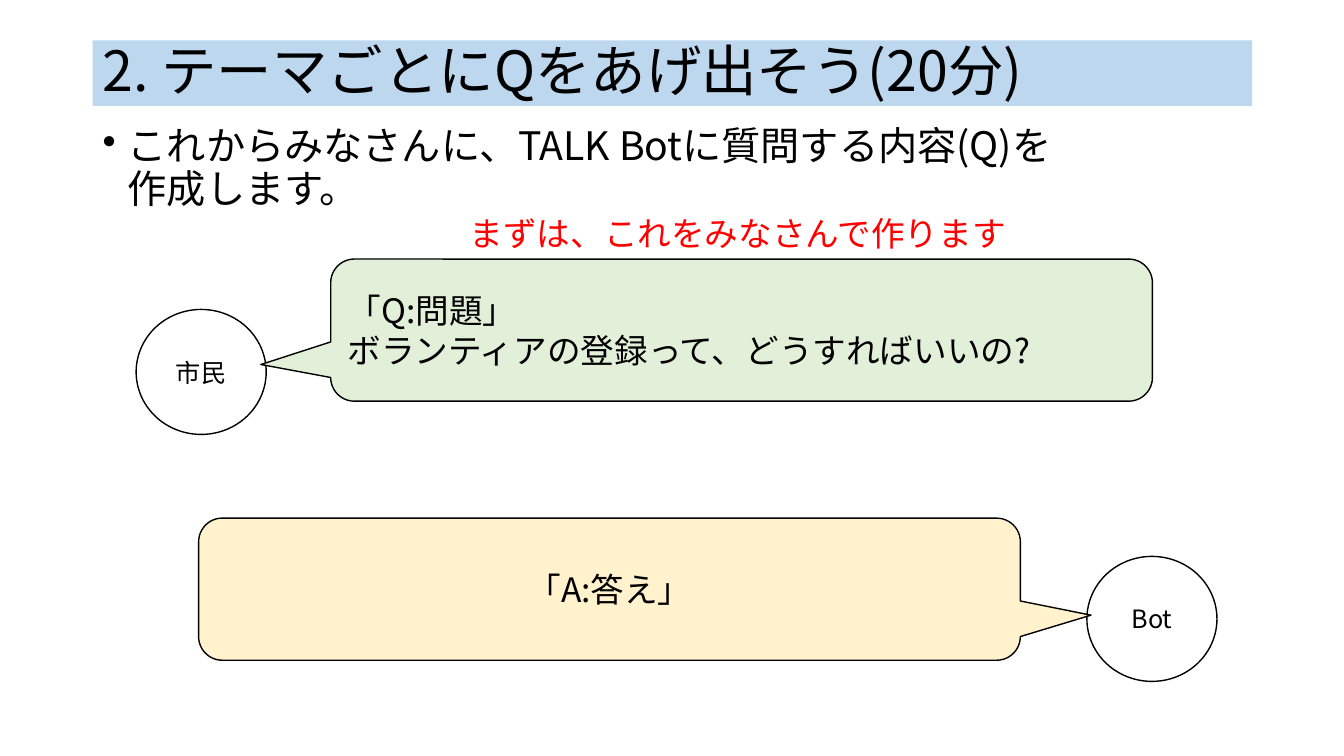
from lxml.etree import SubElement
from pptx import Presentation
from pptx.dml.color import RGBColor
from pptx.enum.shapes import MSO_SHAPE as Shape
from pptx.enum.text import MSO_ANCHOR as Anchor, PP_ALIGN as Align
from pptx.oxml.ns import qn
from pptx.util import Inches, Pt

FONT = "Noto Sans CJK JP"
BLACK = RGBColor(0x00, 0x00, 0x00)
WHITE = RGBColor(0xFF, 0xFF, 0xFF)
RED = RGBColor(0xFF, 0x00, 0x00)
BLUE = RGBColor(0xBD, 0xD7, 0xEE)
GREEN = RGBColor(0xE2, 0xF0, 0xD9)
YELLOW = RGBColor(0xFF, 0xF2, 0xCC)
MARGIN, CONTENT_WIDTH = 0.92, 11.5
SPEAKER_SIZE = (1.29, 1.24)
SPEECH_SIZE = (8.15, 1.41)


def write(box, text, size, color=BLACK, align=Align.LEFT, spacing=1.0):
    """Fill a box with one paragraph in the slide's font and return it."""
    para = box.text_frame.paragraphs[0]
    para.text = text
    para.alignment = align
    para.line_spacing = spacing
    font = para.font
    font.name, font.size = FONT, Pt(size)
    font.color.rgb = color
    SubElement(font._element, qn("a:ea"), typeface=FONT)
    return para


def add_panel(page, kind, corner, size, fill, outlined=True):
    """Add a filled shape with middle-anchored, wrapping text."""
    panel = page.shapes.add_shape(kind, *map(Inches, corner + size))
    panel.shadow.inherit = False
    panel.fill.solid()
    panel.fill.fore_color.rgb = fill
    if outlined:
        panel.line.color.rgb = BLACK
        panel.line.width = Pt(1)
    else:
        panel.line.fill.background()
    panel.text_frame.word_wrap = True
    panel.text_frame.vertical_anchor = Anchor.MIDDLE
    return panel


def add_title(page, text):
    """Add the title on its coloured band."""
    band = add_panel(page, Shape.RECTANGLE, (MARGIN, 0.4),
                     (CONTENT_WIDTH, 0.65), BLUE, outlined=False)
    write(band, text, 39.6, spacing=0.9)


def add_text(page, corner, size, text, points, color=BLACK, wrap=True, spacing=1.0):
    """Add a plain text box and return its paragraph."""
    box = page.shapes.add_textbox(*map(Inches, corner + size))
    box.text_frame.word_wrap = wrap
    return write(box, text, points, color, spacing=spacing)


def add_bullet(para):
    """Give a paragraph a hanging round bullet."""
    para.space_before = Pt(10)
    props = para._p.get_or_add_pPr()
    props.set("marL", str(Inches(0.25)))
    props.set("indent", str(-Inches(0.25)))
    bullet = props.makeelement(qn("a:buChar"), {"char": "•"})
    props.find(qn("a:defRPr")).addprevious(bullet)


def add_speaker(page, corner, name):
    """Add a circle naming who is talking."""
    circle = add_panel(page, Shape.OVAL, corner, SPEAKER_SIZE, WHITE)
    write(circle, name, 18, align=Align.CENTER)


def add_speech(page, corner, text, fill, tail, align):
    """Add a speech bubble whose tail points at its speaker."""
    bubble = add_panel(page, Shape.ROUNDED_RECTANGULAR_CALLOUT, corner,
                       SPEECH_SIZE, fill)
    for index, value in enumerate(tail):
        bubble.adjustments[index] = value
    write(bubble, text, 24, align=align)


def main():
    """Build the slide and save the deck."""
    deck = Presentation()
    deck.slide_width, deck.slide_height = Inches(13.33), Inches(7.5)
    page = deck.slides.add_slide(deck.slide_layouts[6])

    add_title(page, "2. テーマごとにQをあげ出そう(20分)".translate(
        {ord("2"): "2", ord("("): "(", ord(")"): ")"}).replace("(20", "(20"))
    add_bullet(add_text(page, (MARGIN, 1.21), (CONTENT_WIDTH, 5.55),
                        "これからみなさんに、TALK Botに質問する内容(Q)を\n作成します。",
                        28, spacing=0.9))
    add_speaker(page, (1.35, 3.07), "市民")
    add_speaker(page, (10.78, 5.52), "Bot")
    add_speech(page, (3.28, 2.57),
               "「Q:問題」\nボランティアの登録って、どうすればいいの?",
               GREEN, (-0.585, 0.242), Align.LEFT)
    add_speech(page, (1.97, 5.14), "「A:答え」", YELLOW, (0.586, 0.183), Align.CENTER)
    add_text(page, (4.56, 2.06), (5.59, 0.5), "まずは、これをみなさんで作ります",
             24, RED, wrap=False)
    deck.save("out.pptx")


main()
